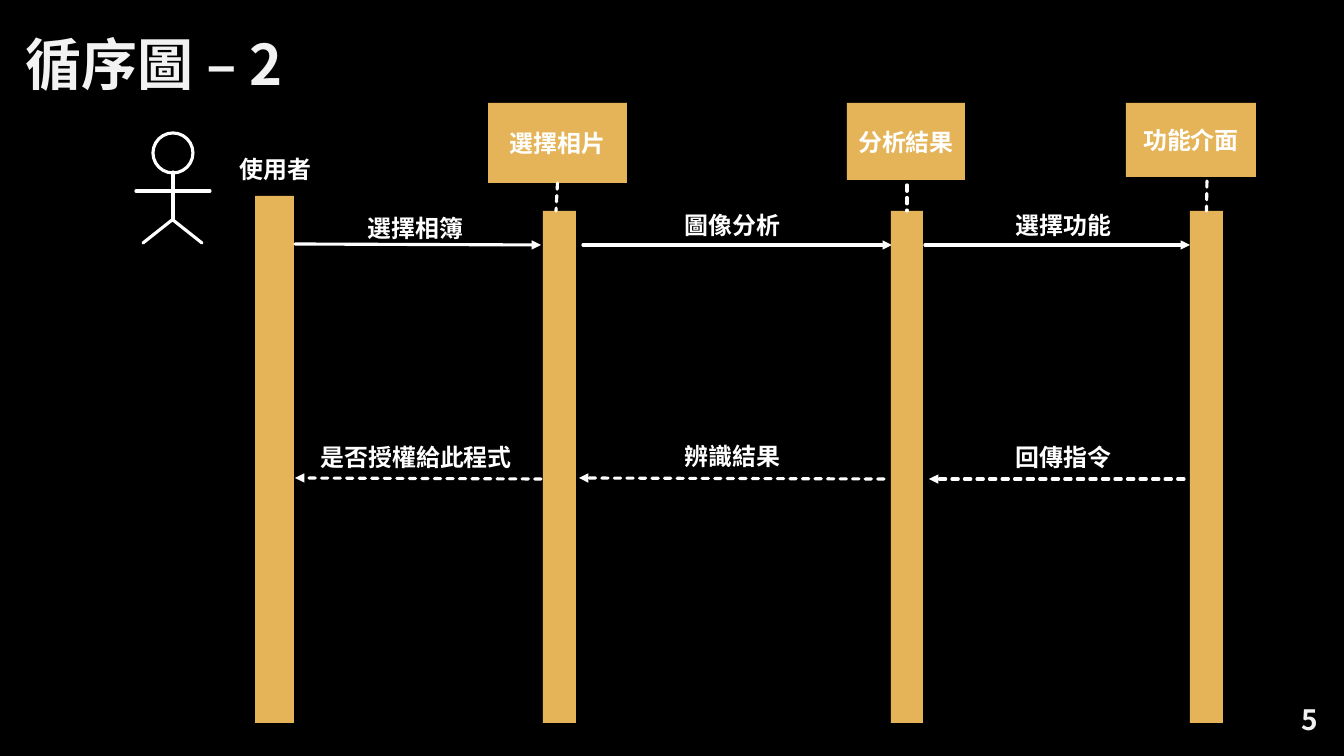
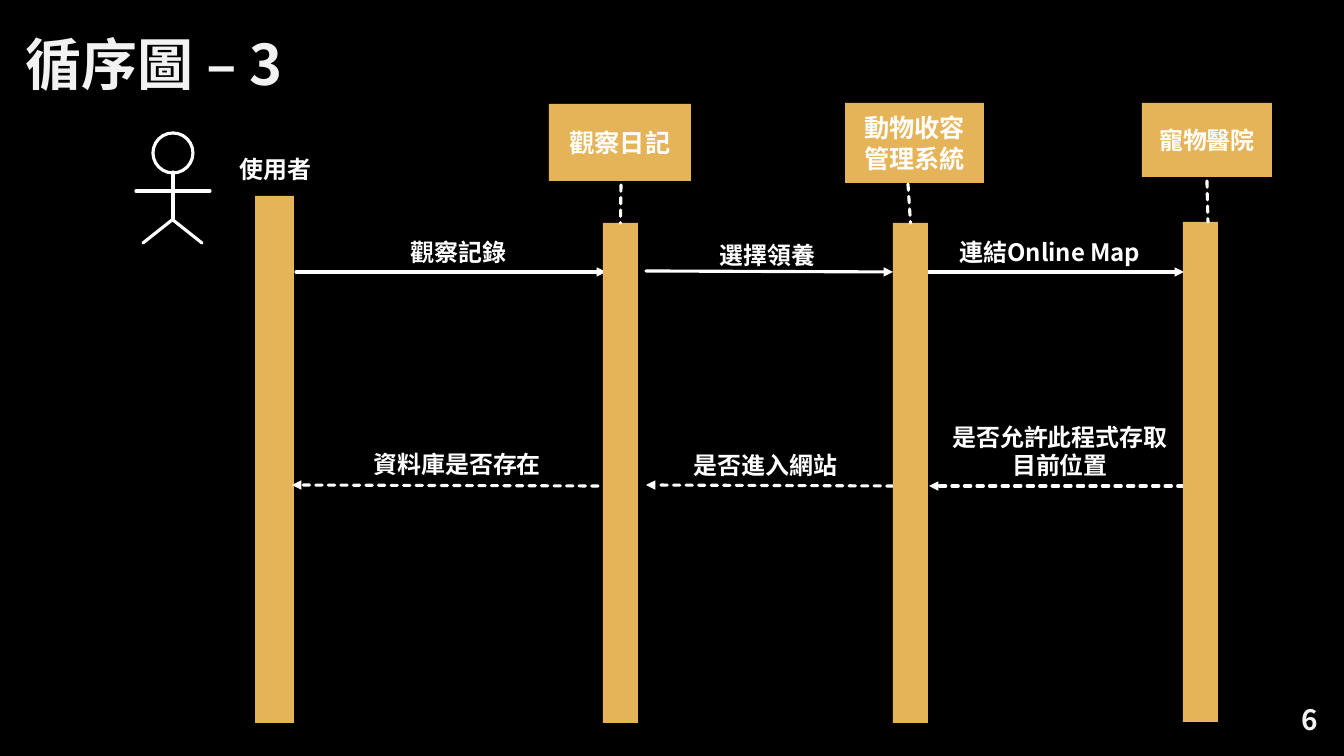
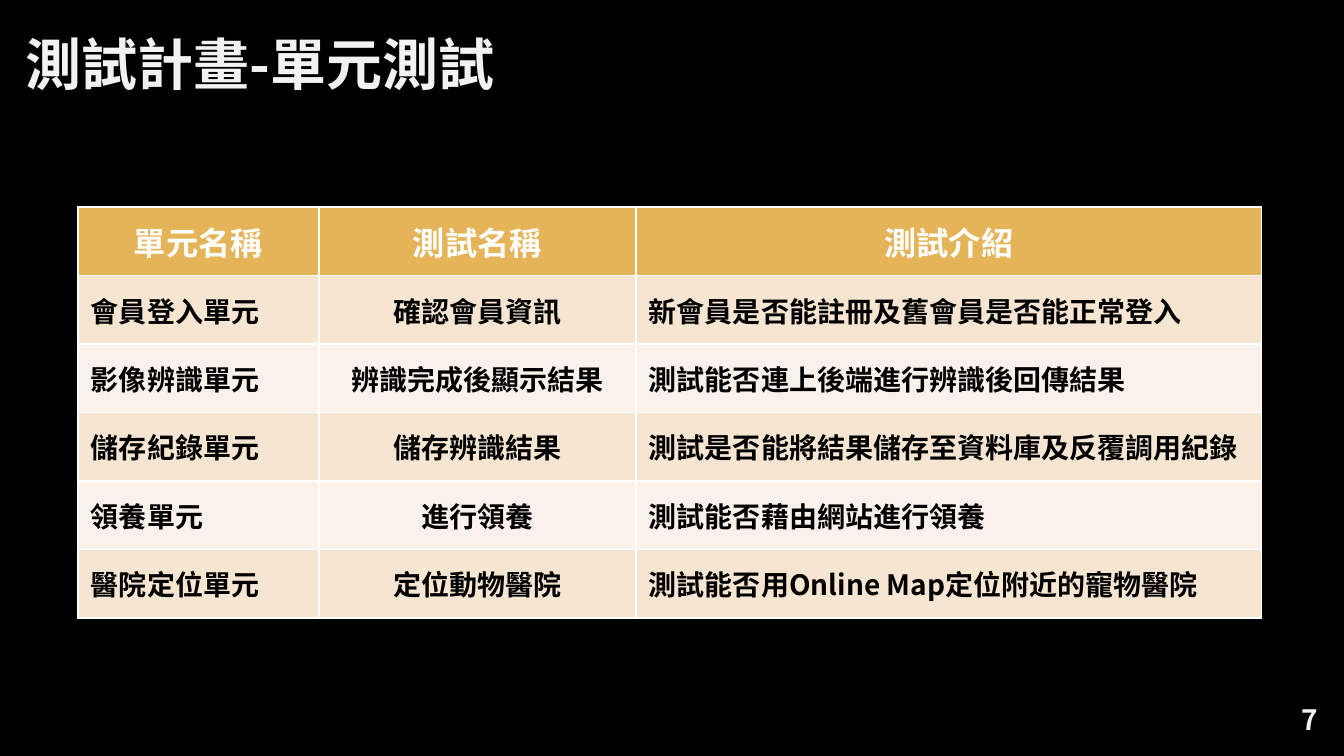
from dataclasses import dataclass

from lxml import etree
from pptx import Presentation
from pptx.dml.color import RGBColor
from pptx.enum.dml import MSO_LINE
from pptx.enum.shapes import MSO_CONNECTOR, MSO_SHAPE
from pptx.enum.text import MSO_ANCHOR, PP_ALIGN
from pptx.oxml.ns import qn
from pptx.util import Pt

STRAIGHT = MSO_CONNECTOR.STRAIGHT
DASH = MSO_LINE.SQUARE_DOT
RECT, OVAL = MSO_SHAPE.RECTANGLE, MSO_SHAPE.OVAL
MIDDLE = MSO_ANCHOR.MIDDLE
LEFT, CENTER, RIGHT = PP_ALIGN.LEFT, PP_ALIGN.CENTER, PP_ALIGN.RIGHT
TOP_SIDE, BOTTOM_SIDE = 0, 2


@dataclass(frozen=True)
class Theme:
    font: str = "Noto Sans CJK SC"
    back: str = "000000"
    white: str = "FFFFFF"
    black: str = "000000"
    title: str = "F2F2F2"
    gold: str = "E5B458"
    bands: tuple = ("F5E5D1", "FAF2EA")
    title_pt: float = 40
    number_pt: float = 20
    label_pt: float = 17.1
    box_pt: float = 18
    head_pt: float = 23
    cell_pt: float = 20
    line_pt: float = 2.25
    border_pt: float = 1


T = Theme()
SLIDE_W, SLIDE_H = 1344, 756

# Each participant: name, type size, box, bar, stub (x1, y1, x2)
# Each arrow: from x, y, to x, y; each label: text, x, y, width
SEQUENCES = [
    {
        "title": "循序圖 – 2", "number": "5",
        "participants": [
            ("選擇相片", T.label_pt, (488, 103, 139, 80), (543, 211, 33, 512), (557, 184, 556)),
            ("分析結果", T.label_pt, (847, 103, 118, 77), (891, 211, 32, 512), (907, 185, 907)),
            ("功能介面", T.label_pt, (1126, 103, 130, 74), (1190, 211, 33, 512), (1207, 181, 1208)),
        ],
        "calls": [(295, 244, 541, 245), (583, 245, 892, 245), (925, 245, 1190, 245)],
        "returns": [(541, 479, 295, 478), (884, 479, 579, 478), (1184, 479, 929, 479)],
        "labels": [
            ("選擇相簿", 358, 208, 129), ("圖像分析", 675, 205, 198),
            ("選擇功能", 1006, 205, 144), ("是否授權給此程式", 311, 437, 302),
            ("辨識結果", 675, 436, 178), ("回傳指令", 1006, 437, 225),
        ],
    },
    {
        "title": "循序圖 – 3", "number": "6",
        "participants": [
            ("觀察日記", T.box_pt, (549, 104, 142, 77), (603, 223, 35, 500), (621, 185, 621)),
            ("動物收容管理系統", T.box_pt, (845, 103, 139, 80), (893, 223, 35, 500), (908, 184, 909)),
            ("寵物醫院", T.label_pt, (1142, 103, 130, 74), (1183, 222, 35, 500), (1207, 181, 1208)),
        ],
        "calls": [(296, 272, 606, 272), (646, 271, 893, 272), (925, 272, 1184, 272)],
        "returns": [(598, 486, 292, 485), (893, 486, 646, 485), (1184, 486, 929, 486)],
        "labels": [
            ("觀察記錄", 401, 232, 129), ("選擇領養", 710, 235, 129),
            ("連結Online Map", 950, 232, 230), ("資料庫是否存在", 364, 444, 199),
            ("是否進入網站", 684, 445, 302), ("是否允許此程式存取\n目前位置", 888, 417, 344),
        ],
    },
]
USER_LABEL = ("使用者", 230, 149, 115)
USER_BAR = (255, 196, 39, 527)
ACTOR_HEAD = (153, 133, 40, 40)
ACTOR_LIMBS = [(173, 172, 173, 220), (136, 191, 210, 191),
               (172, 220, 143, 243), (173, 220, 202, 243)]
LABEL_LINE_H = 39
JOIN_REACH = 2

TEST_PLAN = {
    "title": "測試計畫-單元測試", "number": "7",
    "rows": [
        ("單元名稱", "測試名稱", "測試介紹"),
        ("會員登入單元", "確認會員資訊", "新會員是否能註冊及舊會員是否能正常登入"),
        ("影像辨識單元", "辨識完成後顯示結果", "測試能否連上後端進行辨識後回傳結果"),
        ("儲存紀錄單元", "儲存辨識結果", "測試是否能將結果儲存至資料庫及反覆調用紀錄"),
        ("領養單元", "進行領養", "測試能否藉由網站進行領養"),
        ("醫院定位單元", "定位動物醫院", "測試能否用Online Map定位附近的寵物醫院"),
    ],
}
TABLE_X, TABLE_Y, TABLE_H = 78, 207, 411
COL_WIDTHS = (241, 317, 626)
COL_ALIGNS = (LEFT, CENTER, LEFT)


def px(n):
    return round(n * 914400 / 100.8)


def box_px(box):
    return [px(n) for n in box]


def rgb(color):
    return RGBColor.from_string(color)


def write(tf, text, size, color, align=LEFT):
    tf.text = text
    for p in tf.paragraphs:
        p.alignment = align
        f = p.font
        f.size, f.bold, f.name = Pt(size), True, T.font
        f.color.rgb = rgb(color)
        ea = etree.SubElement(p._p.pPr.find(qn("a:defRPr")), qn("a:ea"))
        ea.set("typeface", T.font)


def add_text(shapes, box, text, size, color, align=LEFT):
    tf = shapes.add_textbox(*box_px(box)).text_frame
    tf.word_wrap = True
    tf.vertical_anchor = MIDDLE
    write(tf, text, size, color, align)
    return tf


def add_label(shapes, text, x, y, w):
    """Add a diagram label; labels of several lines are centred."""
    lines = text.count("\n") + 1
    tf = add_text(shapes, (x, y, w, LABEL_LINE_H + 30 * (lines - 1)), text,
                  T.label_pt, T.white, CENTER if lines > 1 else LEFT)
    if lines > 1:
        for p in tf.paragraphs:
            p.line_spacing = Pt(20)


def add_block(shapes, box):
    sp = shapes.add_shape(RECT, *box_px(box))
    sp.shadow.inherit = False
    sp.fill.solid()
    sp.fill.fore_color.rgb = rgb(T.gold)
    sp.line.fill.background()
    return sp


def add_line(shapes, ends, dashed=False, arrow=False):
    cxn = shapes.add_connector(STRAIGHT, *box_px(ends))
    cxn.line.color.rgb = rgb(T.white)
    cxn.line.width = Pt(T.line_pt)
    if dashed:
        cxn.line.dash_style = DASH
    ln = cxn.line._get_or_add_ln()
    ln.set("cap", "rnd")
    if arrow:
        etree.SubElement(ln, qn("a:tailEnd")).set("type", "triangle")
    etree.SubElement(cxn._element.spPr, qn("a:effectLst"))
    return cxn


def add_actor(shapes):
    parts = shapes.add_group_shape().shapes
    head = parts.add_shape(OVAL, *box_px(ACTOR_HEAD))
    head.shadow.inherit = False
    head.fill.background()
    head.line.color.rgb = rgb(T.white)
    head.line.width = Pt(T.line_pt)
    for limb in ACTOR_LIMBS:
        add_line(parts, limb)


def add_participant(shapes, name, size, box, bar, stub):
    """Add a named box, its bar, and the dashed stub between them."""
    head, life = add_block(shapes, box), add_block(shapes, bar)
    tf = head.text_frame
    tf.word_wrap = True
    tf.vertical_anchor = MIDDLE
    write(tf, name, size, T.white, CENTER)
    x1, y1, x2 = stub
    cxn = add_line(shapes, (x1, y1, x2, bar[1]), dashed=True)
    x, y, w, h = box
    if max(abs(x1 - x - w / 2), abs(y1 - y - h)) <= JOIN_REACH:
        cxn.begin_connect(head, BOTTOM_SIDE)
    if abs(x2 - bar[0] - bar[2] / 2) <= JOIN_REACH:
        cxn.end_connect(life, TOP_SIDE)


def new_slide(prs, content):
    shapes = prs.slides.add_slide(prs.slide_layouts[6]).shapes
    add_text(shapes, (16, 24, 594, 78), content["title"], T.title_pt, T.title)
    add_text(shapes, (1268, 699, 60, 41), content["number"], T.number_pt, T.title, RIGHT)
    return shapes


def sequence_slide(prs, content):
    shapes = new_slide(prs, content)
    add_label(shapes, *USER_LABEL)
    add_block(shapes, USER_BAR)
    add_actor(shapes)
    for ends in content["calls"]:
        add_line(shapes, ends, arrow=True)
    for ends in content["returns"]:
        add_line(shapes, ends, dashed=True, arrow=True)
    for participant in content["participants"]:
        add_participant(shapes, *participant)
    for label in content["labels"]:
        add_label(shapes, *label)


def add_borders(cell):
    tcPr = cell._tc.get_or_add_tcPr()
    for i, side in enumerate(("lnL", "lnR", "lnT", "lnB")):
        ln = etree.Element(qn("a:" + side), w=str(Pt(T.border_pt)))
        fill = etree.SubElement(ln, qn("a:solidFill"))
        etree.SubElement(fill, qn("a:srgbClr")).set("val", T.white)
        tcPr.insert(i, ln)


def table_slide(prs, content):
    shapes = new_slide(prs, content)
    rows = content["rows"]
    table = shapes.add_table(len(rows), len(COL_WIDTHS), px(TABLE_X), px(TABLE_Y),
                             px(sum(COL_WIDTHS)), px(TABLE_H)).table
    for column, width in zip(table.columns, COL_WIDTHS):
        column.width = px(width)
    for r, row in enumerate(rows):
        table.rows[r].height = px(TABLE_H / len(rows))
        for c, text in enumerate(row):
            cell = table.cell(r, c)
            cell.vertical_anchor = MIDDLE
            cell.margin_left = cell.margin_right = px(13)
            cell.margin_top = cell.margin_bottom = px(6)
            cell.fill.solid()
            if r == 0:
                fill, style = T.gold, (T.head_pt, T.white, CENTER)
            else:
                fill, style = T.bands[(r - 1) % 2], (T.cell_pt, T.black, COL_ALIGNS[c])
            cell.fill.fore_color.rgb = rgb(fill)
            write(cell.text_frame, text, *style)
            add_borders(cell)


def main():
    prs = Presentation()
    prs.slide_width, prs.slide_height = px(SLIDE_W), px(SLIDE_H)
    back = prs.slide_master.background.fill
    back.solid()
    back.fore_color.rgb = rgb(T.back)
    for content in SEQUENCES:
        sequence_slide(prs, content)
    table_slide(prs, TEST_PLAN)
    prs.save("out.pptx")


if __name__ == "__main__":
    main()
